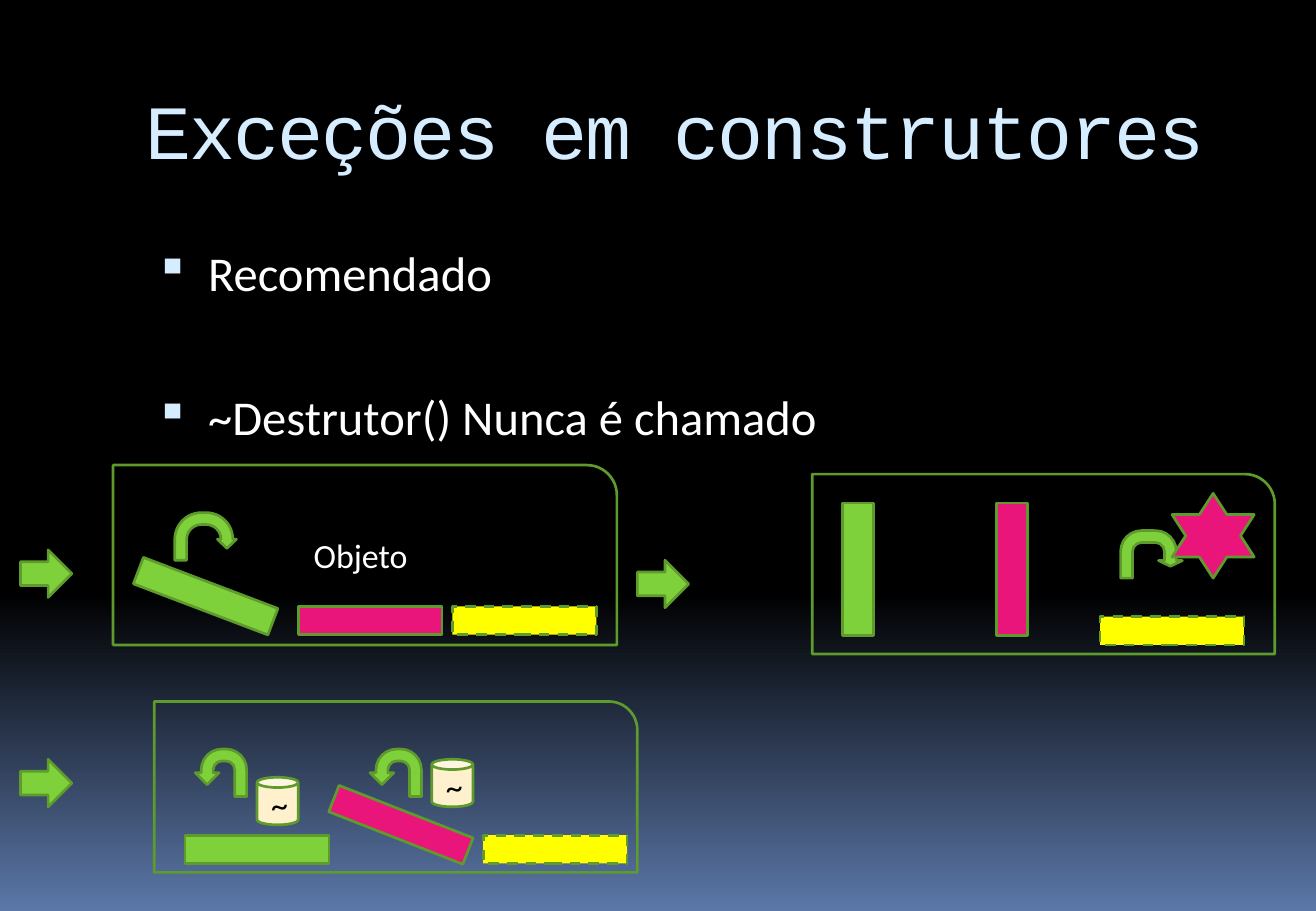
from lxml import etree
from pptx import Presentation
from pptx.dml.color import RGBColor
from pptx.enum import dml, shapes, text
from pptx.oxml import ns
from pptx.util import Inches, Pt

BLACK = RGBColor(0x00, 0x00, 0x00)
WHITE = RGBColor(0xFF, 0xFF, 0xFF)
DUSK = RGBColor(0x5B, 0x77, 0xA8)
PALE_BLUE = RGBColor(0xD6, 0xEC, 0xFF)
GREEN = RGBColor(0x7F, 0xD1, 0x3B)
DARK_GREEN = RGBColor(0x5E, 0x9B, 0x2C)
PINK = RGBColor(0xEA, 0x15, 0x7A)
YELLOW = RGBColor(0xFF, 0xFF, 0x00)
CREAM = RGBColor(0xFF, 0xF1, 0xCE)
KIND = shapes.MSO_SHAPE


def paint_background(page):
    """Fade the page from black to blue at the foot."""
    fill = page.background.fill
    fill.gradient()
    fill.gradient_angle = 270
    for stop, position, color in zip(fill.gradient_stops, (0.65, 1), (BLACK, DUSK)):
        stop.position = position
        stop.color.rgb = color


def style_paragraph(para, words, size, color, name="Calibri"):
    """Write words in one font and return their run."""
    span = para.add_run()
    span.text = words
    para.font.size = Pt(size)
    para.font.name = name
    para.font.color.rgb = color
    return span


def set_frame(frame, anchor):
    """Wrap the text and set the common margins."""
    frame.word_wrap = True
    frame.vertical_anchor = anchor
    frame.margin_left = frame.margin_right = Inches(0.11)
    frame.margin_top = frame.margin_bottom = Inches(0.05)


def add_text_box(page, left, top, width, height, anchor):
    """Add a text box and return its frame."""
    box = page.shapes.add_textbox(Inches(left), Inches(top), Inches(width), Inches(height))
    set_frame(box.text_frame, anchor)
    return box.text_frame


def add_title(page, words):
    """Add the heading with slightly tightened letters."""
    frame = add_text_box(page, 1.02, 0.53, 8.7, 0.94, text.MSO_ANCHOR.MIDDLE)
    span = style_paragraph(frame.paragraphs[0], words, 43, PALE_BLUE, "Courier New")
    span.font._element.set("spc", "-110")


def add_bullets(page, items):
    """Add widely spaced square bullets."""
    frame = add_text_box(page, 1.02, 1.84, 8.73, 1.85, text.MSO_ANCHOR.TOP)
    for index, words in enumerate(items):
        para = frame.add_paragraph() if index else frame.paragraphs[0]
        para.space_before = Pt(48.4 if index else 7.6)
        style_paragraph(para, words, 27.2, WHITE)
        props = para._p.get_or_add_pPr()
        props.set("marL", str(Inches(0.49)))
        props.set("indent", str(Inches(-0.41)))
        color = etree.Element(ns.qn("a:buClr"))
        etree.SubElement(color, ns.qn("a:srgbClr"), val=str(PALE_BLUE))
        size = etree.Element(ns.qn("a:buSzPct"), val="95000")
        mark = etree.Element(ns.qn("a:buChar"), char="▪")
        default_font = props.find(ns.qn("a:defRPr"))
        for part in (color, size, mark):
            default_font.addprevious(part)


def add_figure(page, kind, left, top, width, height, color=None):
    """Add a green-edged shape, hollow when no colour is given."""
    shape = page.shapes.add_shape(kind, Inches(left), Inches(top), Inches(width), Inches(height))
    shape.shadow.inherit = False
    if color is None:
        shape.fill.background()
    else:
        shape.fill.solid()
        shape.fill.fore_color.rgb = color
    shape.line.color.rgb = DARK_GREEN
    shape.line.width = Pt(1.5)
    return shape


def add_label(shape, words, color):
    """Centre words in a shape."""
    set_frame(shape.text_frame, text.MSO_ANCHOR.MIDDLE)
    para = shape.text_frame.paragraphs[0]
    para.alignment = text.PP_ALIGN.CENTER
    style_paragraph(para, words, 19, color)


def add_bar(page, left, top, color, turn=0, width=1.12, height=0.22):
    """Add a member bar; yellow ones are dashed."""
    bar = add_figure(page, KIND.RECTANGLE, left, top, width, height, color)
    bar.rotation = turn
    if color == YELLOW:
        bar.line.dash_style = dml.MSO_LINE.DASH


def add_turn(page, left, top, width, adjustments=(), flipped=False):
    """Add a U-turn arrow."""
    arrow = add_figure(page, KIND.U_TURN_ARROW, left, top, width, 0.37, GREEN)
    for index, value in enumerate(adjustments):
        arrow.adjustments[index] = value
    if flipped:
        arrow._element.spPr.get_or_add_xfrm().set("flipH", "1")


def main():
    """Build the slide."""
    deck = Presentation()
    deck.slide_width, deck.slide_height = Inches(10.24), Inches(7.09)
    page = deck.slides.add_slide(deck.slide_layouts[6])
    paint_background(page)

    started = add_figure(page, KIND.ROUND_1_RECTANGLE, 0.88, 3.62, 3.92, 1.4)
    add_label(started, "Objeto", WHITE)
    add_figure(page, KIND.ROUND_1_RECTANGLE, 6.32, 3.69, 3.6, 1.4)
    add_figure(page, KIND.ROUND_1_RECTANGLE, 1.2, 5.46, 3.76, 1.33)
    add_title(page, "Exceções em construtores")
    add_bullets(page, ("Recomendado", "~Destrutor() Nunca é chamado"))

    for left, top in ((0.16, 4.28), (4.96, 4.36), (0.16, 5.91)):
        add_figure(page, KIND.RIGHT_ARROW, left, top, 0.4, 0.37, GREEN)

    add_bar(page, 1.04, 4.53, GREEN, 20.8)
    add_bar(page, 2.32, 4.72, PINK)
    add_bar(page, 3.52, 4.72, YELLOW)
    add_turn(page, 1.36, 3.99, 0.48, (0.25, 0.2, 0.19, 0.56, 0.75))

    add_bar(page, 6.16, 4.31, GREEN, 90, 1.03, 0.24)
    add_bar(page, 7.36, 4.31, PINK, 270, 1.03, 0.24)
    add_bar(page, 8.56, 4.8, YELLOW)
    add_turn(page, 8.72, 4.13, 0.48, (0.25, 0.25, 0.12, 0.44, 0.75))
    add_figure(page, KIND.STAR_6_POINT, 9.12, 3.84, 0.64, 0.66, PINK)

    add_bar(page, 1.44, 6.5, GREEN)
    add_bar(page, 2.56, 6.31, PINK, 21.4)
    add_bar(page, 3.76, 6.5, YELLOW)
    for turn_left, can_left, can_top in ((1.52, 2, 6.05), (2.88, 3.36, 5.91)):
        add_turn(page, turn_left, 5.83, 0.4, flipped=True)
        can = add_figure(page, KIND.CAN, can_left, can_top, 0.32, 0.37, CREAM)
        add_label(can, "~", BLACK)

    deck.save("out.pptx")


if __name__ == "__main__":
    main()
